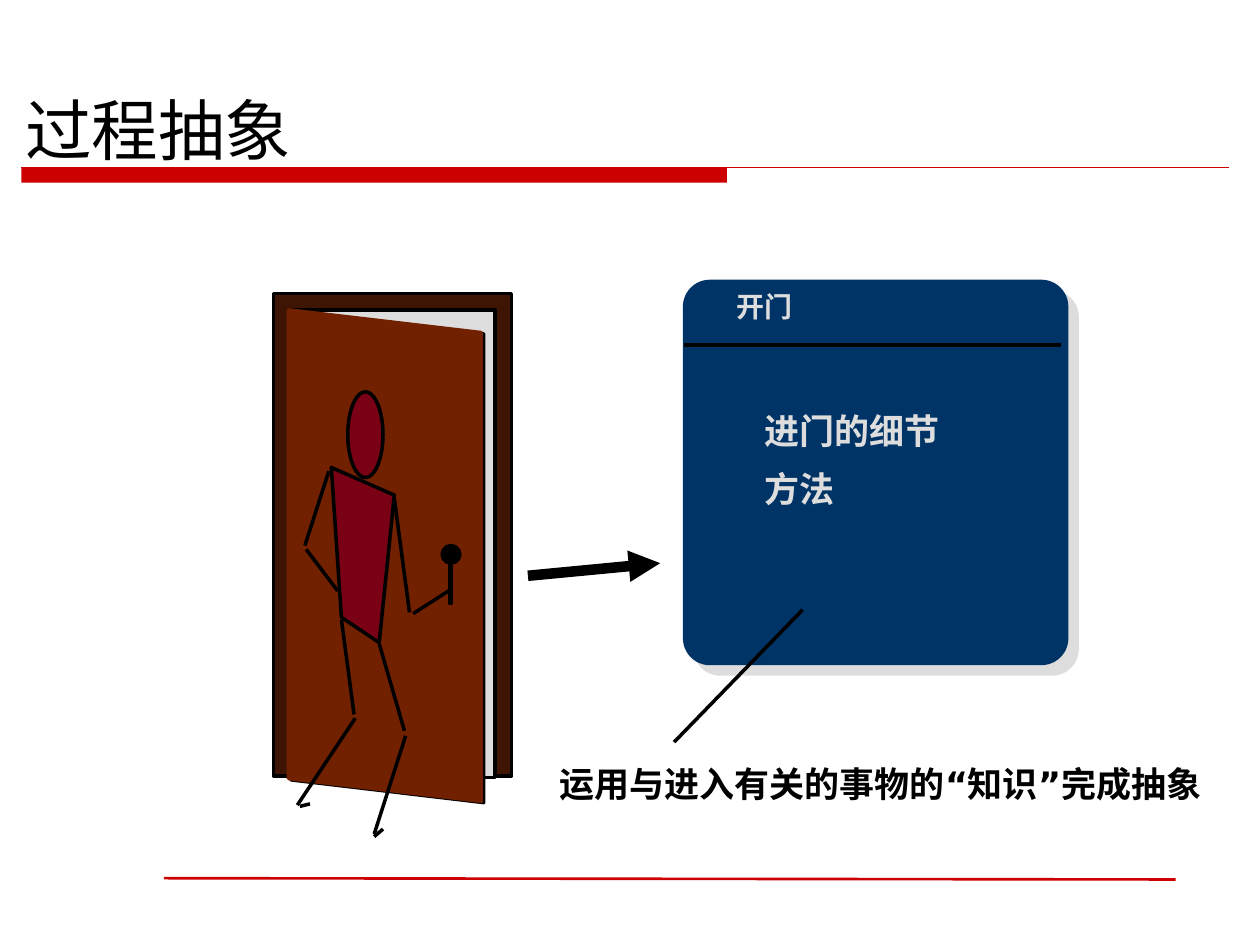
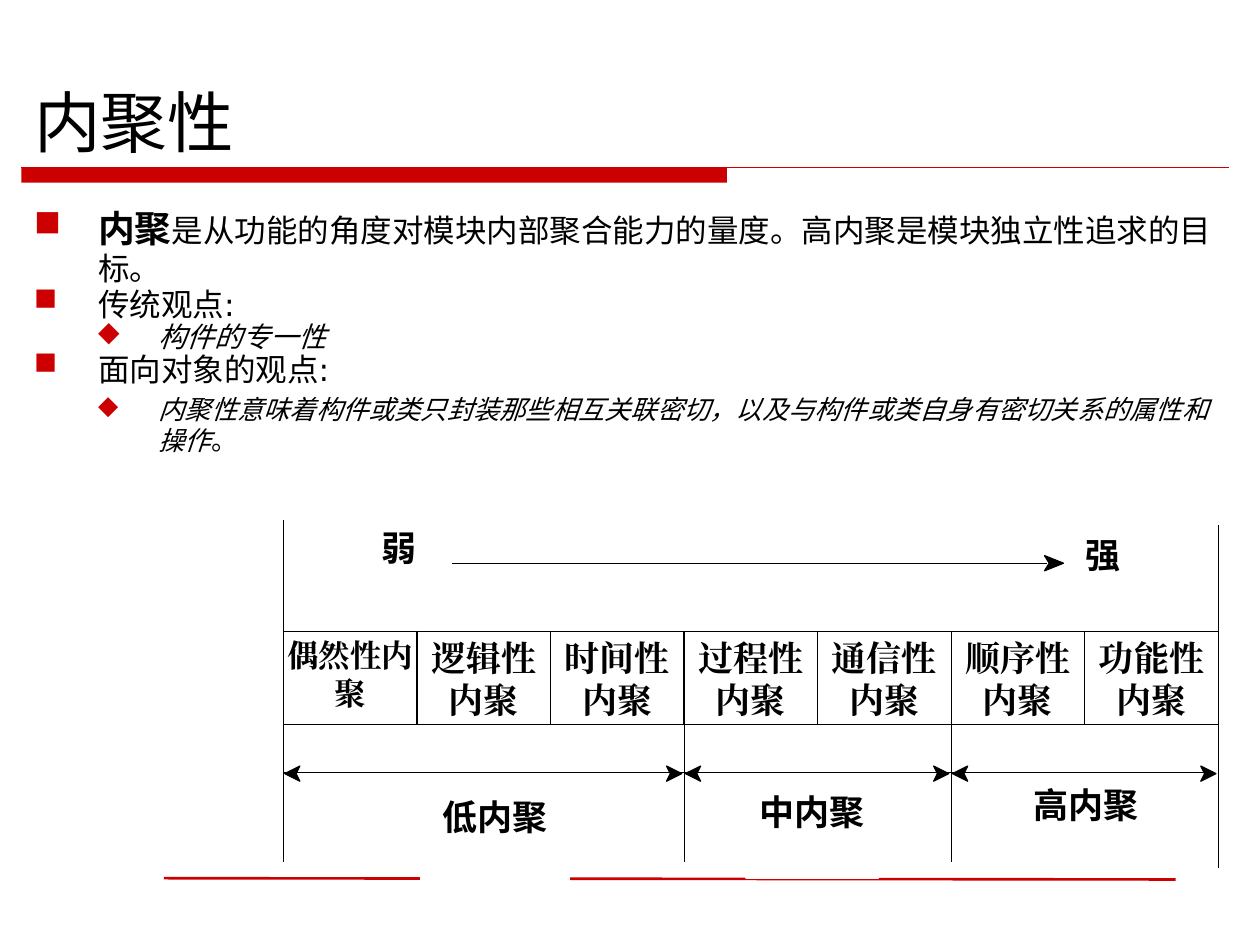
import pptx
import pptx.util
import pptx.dml.color
import pptx.enum.shapes
import pptx.enum.text
import pptx.oxml
import pptx.oxml.ns
import lxml.etree as tree

Inches = pptx.util.Inches
Pt = pptx.util.Pt
SHAPE = pptx.enum.shapes.MSO_SHAPE
ALIGN = pptx.enum.text.PP_ALIGN
ANCHOR = pptx.enum.text.MSO_ANCHOR
qn = pptx.oxml.ns.qn

HUES = {
    "black": "000000", "white": "FFFFFF", "red": "CC0000", "gray": "DDDDDD",
    "navy": "003366", "frame": "3E1403", "wood": "712000", "wine": "790015",
}
SANS = "DejaVu Sans"
NOTO = "Noto Sans CJK SC"
SERIF = "Times New Roman"
LABEL = "Calibri"


# Shared helpers
def color(name):
    return pptx.dml.color.RGBColor.from_string(HUES[name])


def child(parent, tag, **attrs):
    return tree.SubElement(parent, qn(tag), **attrs)


def paint(shape, fill, line, width):
    shape.shadow.inherit = False
    if fill:
        shape.fill.solid()
        shape.fill.fore_color.rgb = color(fill)
    else:
        shape.fill.background()
    if line:
        shape.line.color.rgb = color(line)
        shape.line.width = Pt(width)
    else:
        shape.line.fill.background()
    return shape


def block(slide, kind, box, fill=None, line=None, width=2):
    shape = slide.shapes.add_shape(kind, *map(Inches, box))
    return paint(shape, fill, line, width)


def outline(slide, x, y, points, fill=None, line="black", width=2):
    spots = [(Inches(x + dx), Inches(y + dy)) for dx, dy in points]
    form = slide.shapes.build_freeform(*spots[0], scale=1.0)
    form.add_line_segments(spots[1:], close=True)
    return paint(form.convert_to_shape(), fill, line, width)


def stroke(slide, x1, y1, x2, y2, hue="black", width=2.0, arrow=False):
    line = slide.shapes.add_connector(
        pptx.enum.shapes.MSO_CONNECTOR.STRAIGHT, *map(Inches, (x1, y1, x2, y2)))
    line.line.color.rgb = color(hue)
    line.line.width = Pt(width)
    if arrow:
        child(line.line._get_or_add_ln(), "a:tailEnd", type="triangle")
    child(line._element.spPr, "a:effectLst")


def write(para, text, size, font, hue="black", bold=False, italic=False):
    run = para.add_run()
    run.text = text
    run.font.size = Pt(size)
    run.font.name = font
    run.font.bold = bold
    run.font.italic = italic
    run.font.color.rgb = color(hue)
    child(run._r.get_or_add_rPr(), "a:ea", typeface=font)


def inset(frame, left, top, right, bottom):
    frame.margin_left, frame.margin_top = Inches(left), Inches(top)
    frame.margin_right, frame.margin_bottom = Inches(right), Inches(bottom)


def note(slide, box, text, size, hue):
    frame = slide.shapes.add_textbox(*map(Inches, box)).text_frame
    frame.word_wrap = False
    write(frame.paragraphs[0], text, size, SANS, hue, bold=True)


def cell(slide, box, text, font, size=20, line=None, side=0.02):
    shape = block(slide, SHAPE.RECTANGLE, box, "white", line, 0.75)
    frame = shape.text_frame
    frame.word_wrap = True
    frame.vertical_anchor = ANCHOR.TOP
    inset(frame, side, 0.04, side, 0.01)
    para = frame.paragraphs[0]
    para.alignment = ALIGN.CENTER
    write(para, text, size, font, bold=True)


def start(deck, text, box, font, anchor, pads):
    """Add a slide with its title, title band and footer rule."""
    slide = deck.slides.add_slide(deck.slide_layouts[5])
    block(slide, SHAPE.RECTANGLE, (0.17, 1.33, 5.6, 0.12), "red")
    stroke(slide, 0.17, 1.33, 9.75, 1.33, "red", 0.75)
    stroke(slide, 1.3, 6.97, 9.33, 6.98, "red", 1.5)
    title = slide.shapes.title
    title.left, title.top, title.width, title.height = map(Inches, box)
    frame = title.text_frame
    frame.word_wrap = True
    frame.auto_size = pptx.enum.text.MSO_AUTO_SIZE.NONE
    frame.vertical_anchor = anchor
    inset(frame, *pads)
    para = frame.paragraphs[0]
    para.alignment = ALIGN.LEFT
    write(para, text, 38, font)
    return slide


# Slide 1 regions
def door(slide, x, y):
    block(slide, SHAPE.RECTANGLE, (x, y, 1.89, 3.83), "frame", "black")
    block(slide, SHAPE.RECTANGLE, (x + 0.12, y + 0.13, 1.64, 3.71), "gray", "black")
    leaf = [(0, 0), (1.53, 0.18), (1.53, 3.9), (0, 3.72)]
    outline(slide, x + 0.14, y + 0.14, leaf)
    outline(slide, x + 0.12, y + 0.13, leaf, "wood", "wood")
    block(slide, SHAPE.OVAL, (x + 1.34, y + 2.0, 0.14, 0.14), "black", "black")
    block(slide, SHAPE.RECTANGLE, (x + 1.4, y + 2.13, 0.01, 0.33), "black", "black")


def person(slide, x, y):
    block(slide, SHAPE.OVAL, (x + 0.59, y + 0.78, 0.28, 0.68), "wine", "black")
    outline(slide, x, y,
            [(0.46, 1.38), (0.96, 1.6), (0.84, 2.77), (0.54, 2.57)], "wine")
    limbs = [
        # Arms
        (0.96, 1.63, 1.08, 2.53), (1.11, 2.54, 1.39, 2.36),
        (0.44, 1.41, 0.25, 2.0), (0.26, 2.03, 0.51, 2.36),
        # Legs and feet
        (0.84, 2.78, 1.04, 3.47), (1.05, 3.51, 0.8, 4.29), (0.8, 4.31, 0.87, 4.25),
        (0.54, 2.59, 0.64, 3.34), (0.65, 3.37, 0.19, 4.06), (0.21, 4.07, 0.29, 4.05),
    ]
    for x1, y1, x2, y2 in limbs:
        stroke(slide, x + x1, y + y1, x + x2, y + y2)


def card(slide, x, y):
    panel = block(slide, SHAPE.ROUNDED_RECTANGLE, (x, y, 3.06, 3.06), "navy")
    panel.adjustments[0] = 0.07
    effects = panel._element.spPr.find(qn("a:effectLst"))
    shade = child(effects, "a:outerShdw", blurRad="0", dist=str(Pt(8.5)),
                  dir="2700000", algn="tl", rotWithShape="0")
    child(shade, "a:srgbClr", val=HUES["gray"])
    stroke(slide, x + 0.01, y + 0.52, x + 3.0, y + 0.52)
    note(slide, (x + 0.33, y + 0.03, 0.64, 0.36), "开门", 16, "gray")
    note(slide, (x + 0.55, y + 0.98, 1.59, 0.43), "进门的细节", 20, "gray")
    note(slide, (x + 0.55, y + 1.44, 0.76, 0.43), "方法", 20, "gray")
    # Pointer and its caption
    stroke(slide, x + 0.95, y + 2.62, x - 0.07, y + 3.67)
    note(slide, (x - 1.08, y + 3.78, 5.49, 0.43),
         "运用与进入有关的事物的“知识”完成抽象", 20, "black")


def process(deck):
    slide = start(deck, "过程抽象", (0.13, 0.68, 2.38, 0.73), SANS,
                  ANCHOR.TOP, (0.07, 0.03, 0.07, 0.03))
    stroke(slide, 4.19, 4.57, 5.24, 4.47, width=6, arrow=True)
    door(slide, 2.17, 2.33)
    person(slide, 2.17, 2.33)
    card(slide, 5.42, 2.22)


# Slide 2 regions
def points(slide, box):
    frame = slide.shapes.add_textbox(*map(Inches, box)).text_frame
    frame.word_wrap = True
    # Level, line spacing, space before, runs of (text, size, bold, italic)
    rows = [
        (0, 1.0, 0, [("内聚", 21, True, False),
                     ("是从功能的角度对模块内部聚合能力的量度。高内聚是模块独立性追求的目标。",
                      18, False, False)]),
        (0, 0.7, 4.5, [("传统观点:", 18, False, False)]),
        (1, 0.7, 4, [("构件的专一性", 16, False, True)]),
        (0, 0.7, 4.5, [("面向对象的观点:", 18, False, False)]),
        (1, 1.0, 3.7, [("内聚性意味着构件或类只封装那些相互关联密切，"
                        "以及与构件或类自身有密切关系的属性和操作", 15, False, True),
                       ("。", 15, False, False)]),
    ]
    marks = [("■", 0.51, 0.51), ("◆", 0.99, 0.48)]
    for i, (level, space, before, runs) in enumerate(rows):
        para = frame.add_paragraph() if i else frame.paragraphs[0]
        para.level = level
        para.line_spacing = space
        para.space_before = Pt(before)
        mark, left, hang = marks[level]
        props = para._p.get_or_add_pPr()
        props.set("marL", str(Inches(left)))
        props.set("indent", str(-Inches(hang)))
        child(child(props, "a:buClr"), "a:srgbClr", val=HUES["red"])
        child(props, "a:buChar", char=mark)
        for text, size, bold, italic in runs:
            write(para, text, size, SANS, bold=bold, italic=italic)


def head(slide, tip, y, size):
    """Draw a notched arrowhead; a negative size points it left."""
    outline(slide, tip, y, [(-size * 0.75, 0), (-size, -0.06), (0, 0), (-size, 0.06)],
            "black", width=0.75)


def scale(slide, x, y):
    kinds = ["偶然性", "逻辑性", "时间性", "过程性", "通信性", "顺序性", "功能性"]
    step = 1.06
    end = x + step * len(kinds)
    # Group dividers and span line
    for count in (3, 5):
        spot = x + step * count
        stroke(slide, spot, y + 1.6, spot, y + 2.71, width=0.75)
    stroke(slide, x, y + 2.0, end - 0.05, y + 2.0, width=0.75)
    # Kinds of cohesion
    for i, kind in enumerate(kinds):
        cell(slide, (x + step * i, y + 0.88, step, 0.74), kind + "内聚", SERIF,
             20 if i else 18, "black")
    # Weak to strong
    cell(slide, (x + 0.74, y + 0.01, 0.35, 0.62), "弱", LABEL, side=0)
    cell(slide, (x + 6.33, y + 0.06, 0.35, 0.62), "强", LABEL, side=0)
    stroke(slide, x + 1.34, y + 0.34, x + 6.06, y + 0.34, width=0.75)
    head(slide, x + 6.19, y + 0.34, 0.15)
    # Outer edges
    stroke(slide, x, y, x, y + 2.71, width=0.75)
    stroke(slide, end, y + 0.04, end, y + 2.76, width=0.75)
    # Group labels
    for dx, dy, wide, text in [(1.09, 2.14, 1.18, "低内聚"),
                               (3.67, 2.1, 1.05, "中内聚"),
                               (5.76, 2.05, 1.22, "高内聚")]:
        cell(slide, (x + dx, y + dy, wide, 0.74), text, LABEL, line="white")
    # Arrowheads at both ends of each group
    for first, last in [(0, 3), (3, 5), (5, 7)]:
        head(slide, x + step * first + 0.01, y + 2.01, -0.12)
        head(slide, x + step * last - 0.02, y + 2.01, 0.12)


def cohesion(deck):
    slide = start(deck, "内聚性", (0.17, 0.6, 9.75, 0.73), NOTO,
                  ANCHOR.BOTTOM, (0.1, 0.05, 0.1, 0.05))
    points(slide, (0.17, 1.58, 9.67, 2.32))
    scale(slide, 2.25, 4.13)


def main():
    deck = pptx.Presentation()
    deck.slide_width, deck.slide_height = Inches(10), Inches(7.5)
    process(deck)
    cohesion(deck)
    deck.save("out.pptx")


if __name__ == "__main__":
    main()
